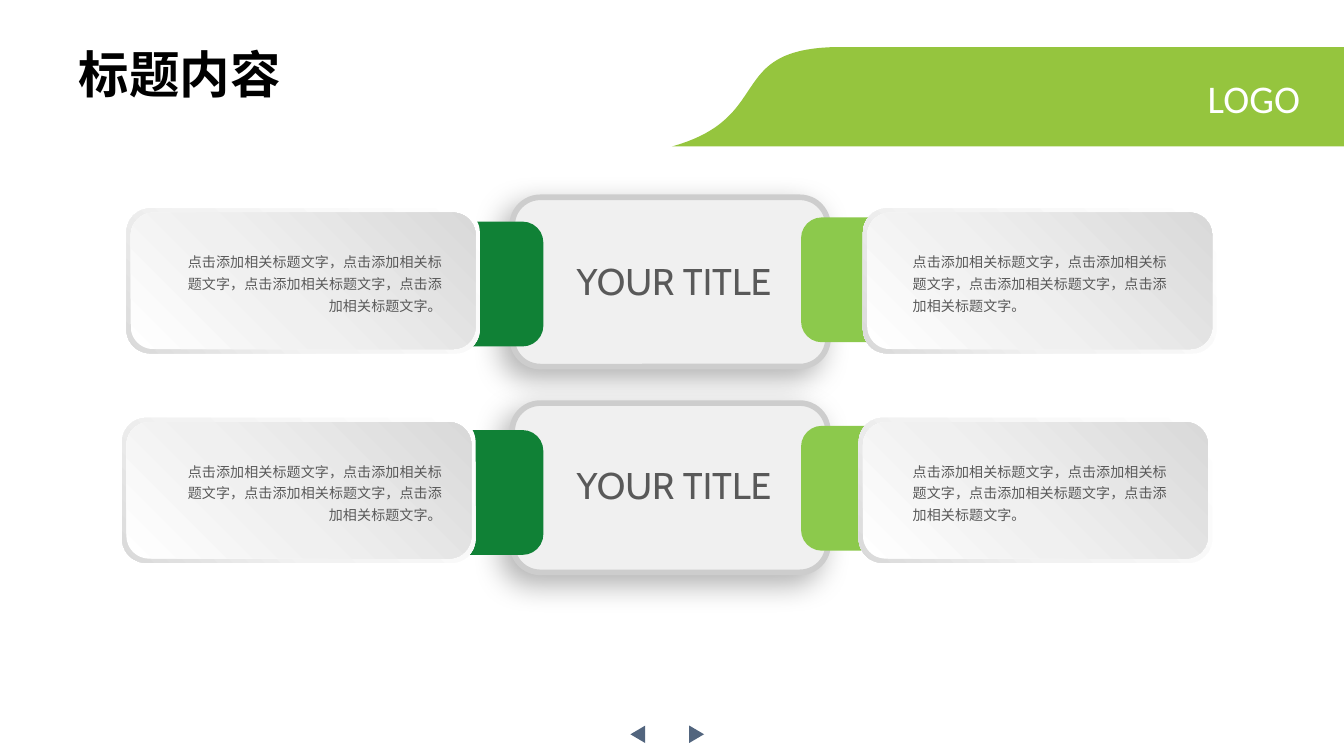
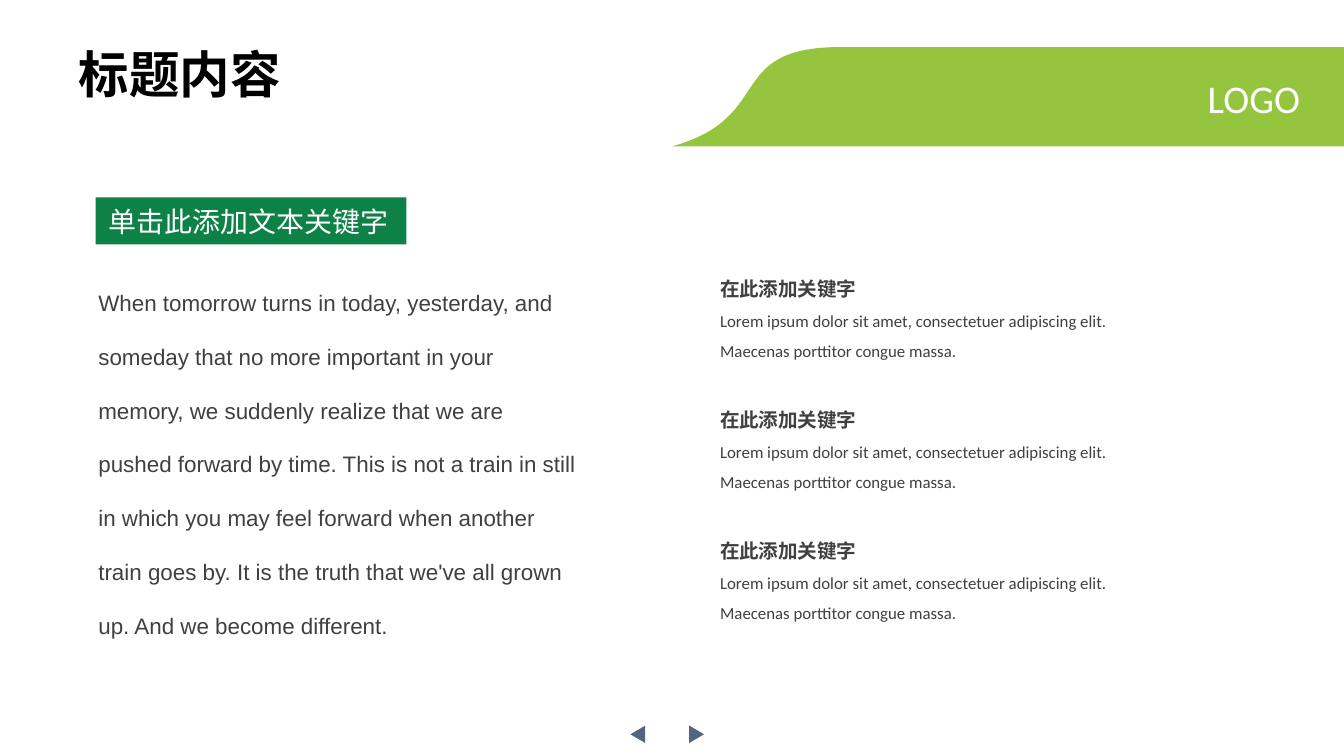
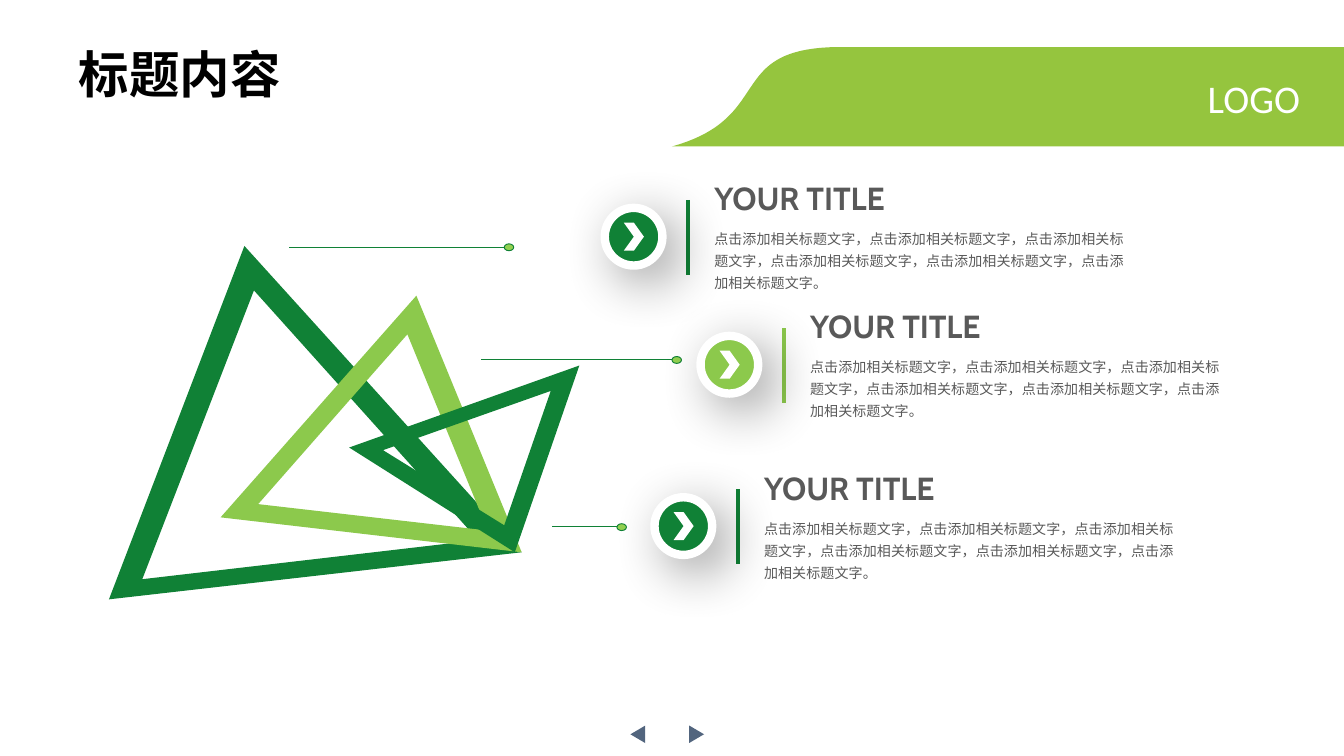
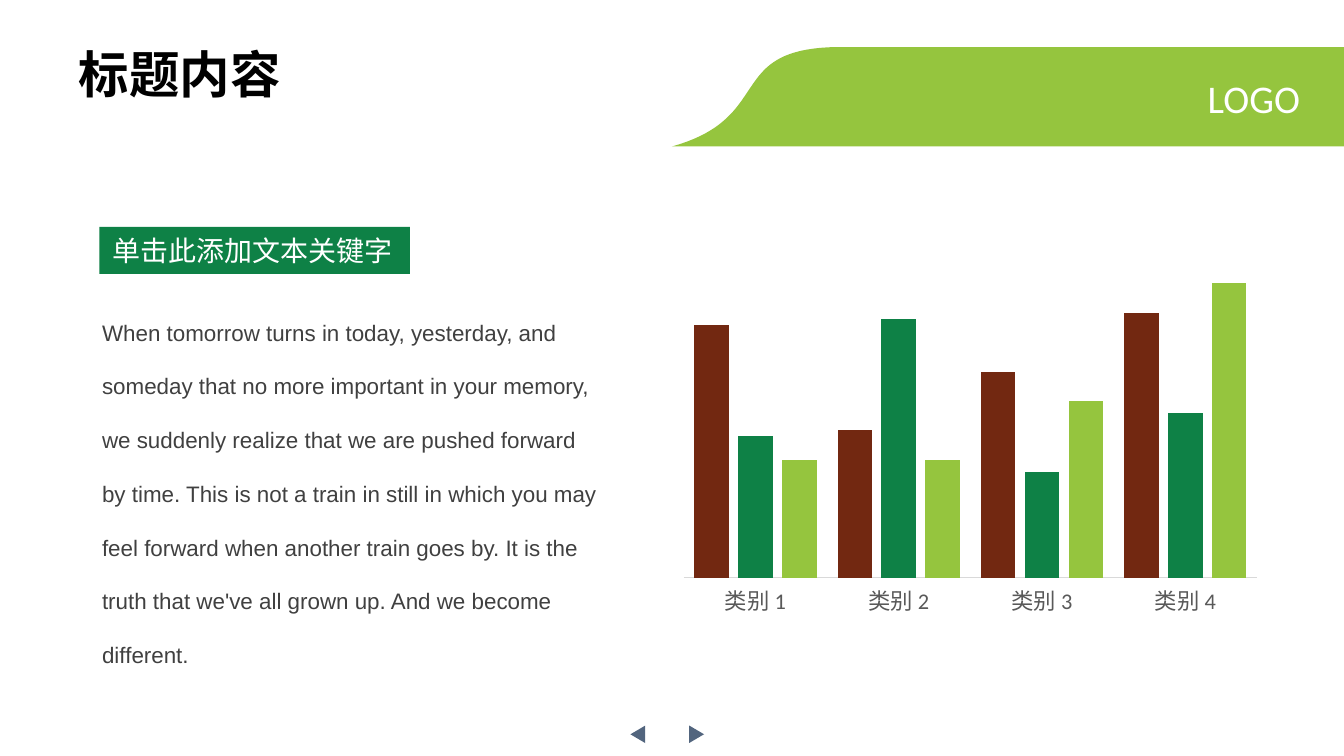
"""Build four green slides: title cards, text columns, a triangle diagram and a column chart."""
from dataclasses import dataclass
from typing import Any, Optional, Union

import lxml.etree
import pptx
import pptx.chart.data
import pptx.dml.color
import pptx.enum.chart
import pptx.enum.shapes
import pptx.enum.text
import pptx.oxml.ns
import pptx.util

Cm = pptx.util.Cm
Pt = pptx.util.Pt
qn = pptx.oxml.ns.qn
SHAPE = pptx.enum.shapes.MSO_SHAPE
ALIGN = pptx.enum.text.PP_ALIGN

COLOURS = {
    "black": "000000", "white": "FFFFFF", "nav": "52657E", "band": "95C53E",
    "deep": "108136", "lime": "8CC94C", "dot": "92D050", "label": "0E8146",
    "brown": "722811", "text": "595959", "prose": "404040", "axis": "D9D9D9",
    "panel": "F0F0F0", "panel_end": "F1F1F1", "panel_edge": "CDCDCD", "mist": "F2F2F2",
}
CJK_FONT = "Noto Sans CJK SC"
BODY_FONT = "Calibri"
HINT = "点击添加相关标题文字，"
PROSE = (
    "When tomorrow turns in today, yesterday, and someday that no more important in your memory, "
    "we suddenly realize that we are pushed forward by time. This is not a train in still in which "
    "you may feel forward when another train goes by. It is the truth that we've all grown up. "
    "And we become different."
)
Point = tuple[float, float]


@dataclass(frozen=True)
class Frame:
    """Left, top, width and height in centimetres."""
    left: float
    top: float
    width: float
    height: float

    def shift(self, across: float, down: float) -> "Frame":
        """Return the frame moved by the given distances."""
        return Frame(self.left + across, self.top + down, self.width, self.height)

    def inset(self, margin: float) -> "Frame":
        """Return the frame shrunk by a margin on every side."""
        return Frame(self.left + margin, self.top + margin,
                     self.width - 2 * margin, self.height - 2 * margin)

    def lengths(self) -> list[pptx.util.Cm]:
        """Return the four lengths for a shape call."""
        return [Cm(value) for value in (self.left, self.top, self.width, self.height)]


@dataclass(frozen=True)
class Gradient:
    """Colour stops in percent and a clockwise angle."""
    stops: tuple[tuple[int, str], ...]
    angle: int


@dataclass(frozen=True)
class Shadow:
    """Opacity in percent, blur and distance in points, and direction in degrees."""
    opacity: int
    blur: float
    distance: float
    direction: int


@dataclass(frozen=True)
class Style:
    """Text style of a paragraph."""
    size: float
    colour: str = "text"
    font: str = BODY_FONT
    bold: bool = False
    align: ALIGN = ALIGN.LEFT
    spacing: Optional[float] = None


@dataclass(frozen=True)
class Triangle:
    """A triangular ring: outer corners, inner corners and colour."""
    outer: tuple[Point, Point, Point]
    inner: tuple[Point, Point, Point]
    colour: str


@dataclass(frozen=True)
class Leader:
    """A thin line that ends in a dot."""
    start: float
    end: float
    level: float


@dataclass(frozen=True)
class Entry:
    """Top of the coloured bar of one diagram entry."""
    left: float
    top: float
    colour: str


@dataclass(frozen=True)
class Side:
    """One side of the card slide."""
    tab: Frame
    card: Frame
    text: Frame
    colour: str
    align: ALIGN


Fill = Union[str, Gradient]
HEADING = Style(27, "black", bold=True)
LOGO = Style(21, "white", align=ALIGN.RIGHT)
PANEL_TITLE = Style(19.9, font="Cabin")
ENTRY_TITLE = Style(17.1, font="Cabin", bold=True)
ENTRY_TEXT = Style(7.5, font=CJK_FONT, spacing=1.3)
LABEL = Style(15, "white")
PROSE_STYLE = Style(12, "prose", "Arial", spacing=2)
KEYWORD = Style(10.5, "prose", bold=True, spacing=1.5)
DETAIL = Style(9, "prose", spacing=1.5)

PANEL_FILL = Gradient(((0, "panel"), (100, "panel_end")), 45)
CARD_RIM = Gradient(((0, "white"), (62, "mist"), (100, "axis")), 135)
CARD_FACE = Gradient(((0, "white"), (42, "panel"), (100, "axis")), 315)
TIGHT = (0.18, 0.1)
SIDES = (
    Side(Frame(4.5, 4.19, 5.77, 2.36), Frame(2.39, 3.94, 6.68, 2.74),
         Frame(3.35, 4.6, 5.18, 1.45), "deep", ALIGN.RIGHT),
    Side(Frame(15.14, 4.11, 5.77, 2.36), Frame(16.31, 3.94, 6.68, 2.74),
         Frame(17.07, 4.6, 5.18, 1.45), "lime", ALIGN.LEFT),
)
TRIANGLES = (
    Triangle(((4.62, 4.65), (2.06, 11.33), (9.86, 10.44)),
             ((4.8, 5.49), (9.04, 10.21), (2.69, 10.95)), "deep"),
    Triangle(((7.87, 5.59), (4.17, 9.78), (9.86, 10.44)),
             ((7.7, 6.32), (9.22, 10.03), (4.88, 9.53)), "lime"),
    Triangle(((6.6, 8.46), (9.73, 10.44), (10.95, 6.91)),
             ((9.53, 9.93), (7.24, 8.51), (10.41, 7.39)), "deep"),
)
LEADERS = (Leader(5.46, 9.63, 4.67), Leader(9.09, 12.8, 6.8), Leader(10.44, 11.76, 9.96))
ENTRIES = (Entry(13, 3.78, "deep"), Entry(14.81, 6.2, "lime"), Entry(13.94, 9.25, "deep"))
CATEGORIES = ("类别 1", "类别 2", "类别 3", "类别 4")
SERIES = (
    ("Series 1", (86, 50, 70, 90), "brown"),
    ("Series 2", (48, 88, 36, 56), "label"),
    ("Series 3", (40, 40, 60, 100), "band"),
)


def rgb(name: str) -> pptx.dml.color.RGBColor:
    """Return a named colour."""
    return pptx.dml.color.RGBColor.from_string(COLOURS[name])


def add_colour(parent: Any, name: str) -> Any:
    """Append a colour element to an XML parent."""
    return lxml.etree.SubElement(parent, qn("a:srgbClr"), val=COLOURS[name])


def paint(shape: Any, fill: Fill, edge: Optional[str] = None, width: float = 0.5) -> None:
    """Set fill and outline and remove the theme shadow."""
    shape.shadow.inherit = False
    if isinstance(fill, Gradient):
        shape.fill.gradient()
        shape.fill.gradient_angle = 360 - fill.angle
        stops = next(shape.element.iter(qn("a:gsLst")))
        for stop in list(stops):
            stops.remove(stop)
        for position, name in fill.stops:
            add_colour(lxml.etree.SubElement(stops, qn("a:gs"), pos=str(position * 1000)), name)
    else:
        shape.fill.solid()
        shape.fill.fore_color.rgb = rgb(fill)
    if edge is None:
        shape.line.fill.background()
    else:
        shape.line.color.rgb = rgb(edge)
        shape.line.width = Pt(width)


def add_figure(page: Any, kind: SHAPE, frame: Frame, fill: Fill,
               edge: Optional[str] = None, width: float = 0.5) -> Any:
    """Draw a preset shape."""
    shape = page.shapes.add_shape(kind, *frame.lengths())
    paint(shape, fill, edge, width)
    return shape


def cast_shadow(shape: Any, shadow: Shadow) -> None:
    """Give a shape a soft outer shadow."""
    outer = lxml.etree.SubElement(
        next(shape.element.iter(qn("a:effectLst"))), qn("a:outerShdw"),
        blurRad=str(Pt(shadow.blur)), dist=str(Pt(shadow.distance)),
        dir=str(shadow.direction * 60000), algn="ctr", rotWithShape="0")
    lxml.etree.SubElement(add_colour(outer, "black"), qn("a:alpha"),
                          val=str(shadow.opacity * 1000))


def add_outline(page: Any, contours: tuple, fill: str) -> None:
    """Draw a filled freeform from closed contours."""
    first, *others = [[(Cm(x), Cm(y)) for x, y in contour] for contour in contours]
    builder = page.shapes.build_freeform(*first[0])
    builder.add_line_segments(first[1:])
    for contour in others:
        builder.move_to(*contour[0])
        builder.add_line_segments(contour[1:])
    paint(builder.convert_to_shape(), fill)


def add_line(page: Any, start: Point, end: Point, colour: str, width: float) -> None:
    """Draw a straight line."""
    line = page.shapes.add_connector(
        pptx.enum.shapes.MSO_CONNECTOR.STRAIGHT, *[Cm(value) for value in start + end])
    line.line.color.rgb = rgb(colour)
    line.line.width = Pt(width)
    lxml.etree.SubElement(line.element.find(qn("p:spPr")), qn("a:effectLst"))


def write(shape: Any, *lines: tuple[str, Style], wrap: bool = True,
          margins: Point = (0.25, 0.13)) -> None:
    """Write one styled paragraph per line into a shape."""
    frame = shape.text_frame
    frame.word_wrap = wrap
    frame.auto_size = pptx.enum.text.MSO_AUTO_SIZE.SHAPE_TO_FIT_TEXT
    frame.vertical_anchor = pptx.enum.text.MSO_ANCHOR.TOP
    frame.margin_left = frame.margin_right = Cm(margins[0])
    frame.margin_top = frame.margin_bottom = Cm(margins[1])
    for index, (text, style) in enumerate(lines):
        para = frame.add_paragraph() if index else frame.paragraphs[0]
        para.text = text
        para.alignment = style.align
        if style.spacing:
            para.line_spacing = style.spacing
        para.font.name = style.font
        para.font.size = Pt(style.size)
        para.font.bold = style.bold
        para.font.color.rgb = rgb(style.colour)
    for latin in list(shape.element.iter(qn("a:latin"))):
        latin.addnext(latin.makeelement(qn("a:ea"), typeface=CJK_FONT))


def add_text(page: Any, frame: Frame, *lines: tuple[str, Style], wrap: bool = True,
             margins: Point = (0.25, 0.13)) -> None:
    """Add a text box."""
    write(page.shapes.add_textbox(*frame.lengths()), *lines, wrap=wrap, margins=margins)


def curve(start: Point, first: Point, second: Point, end: Point, steps: int = 40) -> list[Point]:
    """Return points along a cubic Bezier curve."""
    points = []
    for step in range(steps + 1):
        t = step / steps
        weights = ((1 - t) ** 3, 3 * t * (1 - t) ** 2, 3 * t * t * (1 - t), t ** 3)
        x, y = (sum(weight * value for weight, value in zip(weights, axis))
                for axis in zip(start, first, second, end))
        points.append((x, y))
    return points


def add_page(deck: Any, layout: Any) -> Any:
    """Add a page with the shared title, band and logo label."""
    page = deck.slides.add_slide(layout)
    title = page.shapes.title
    title.left, title.top, title.width, title.height = Frame(1.24, 0.69, 4.37, 1.42).lengths()
    write(title, ("标题内容", HEADING), wrap=False)
    edge = curve((12.7, 2.77), (14.71, 2.21), (13.64, 0.86), (15.98, 0.89))
    add_outline(page, ([*edge, (25.4, 0.89), (25.4, 2.77)],), "band")
    add_text(page, Frame(22.56, 1.27, 2.26, 1.14), ("LOGO", LOGO), wrap=False)
    return page


def add_navigation(page: Any, layout: Any) -> None:
    """Place the two navigation triangles on the shared layout."""
    for left, rotation in ((13, 90), (11.89, 270)):
        arrow = add_figure(page, SHAPE.ISOSCELES_TRIANGLE, Frame(left, 13.74, 0.33, 0.28), "nav")
        arrow.rotation = rotation
        layout.placeholders[0].element.addnext(arrow.element)


def draw_cards(page: Any) -> None:
    """Draw two rows of a title panel between two cards."""
    for row in range(2):
        panel = add_figure(page, SHAPE.ROUNDED_RECTANGLE,
                           Frame(9.68, 3.73, 5.97, 3.2).shift(0, 3.89 * row),
                           PANEL_FILL, "panel_edge", 3)
        cast_shadow(panel, Shadow(30, 16, 7, 135))
    for side in SIDES:
        hint = Style(7.5, font=CJK_FONT, align=side.align, spacing=1.3)
        for row in range(2):
            tab = side.tab.shift(0, 3.94 * row)
            card = side.card.shift(-0.08 * row, 3.96 * row)
            for frame, fill in ((tab, side.colour), (tab.inset(0.08), side.colour),
                                (card, CARD_RIM), (card.inset(0.08), CARD_FACE)):
                add_figure(page, SHAPE.ROUNDED_RECTANGLE, frame, fill)
            add_text(page, side.text.shift(0, 3.96 * row),
                     (HINT * 3 + HINT[:-1] + "。", hint), margins=TIGHT)
    for row in range(2):
        add_text(page, Frame(10.72, 4.78, 5.16, 1.04).shift(0, 3.86 * row),
                 ("YOUR TITLE", PANEL_TITLE), margins=TIGHT)


def draw_prose(page: Any, left: float, top: float, width: float) -> None:
    """Draw a green label with the long paragraph below it."""
    label = add_figure(page, SHAPE.RECTANGLE, Frame(left, top, 5.87, 0.89), "label")
    write(label, ("单击此添加文本关键字", LABEL), wrap=False)
    add_text(page, Frame(left - 0.2, top + 1.1, width, 7.44), (PROSE, PROSE_STYLE))


def draw_keywords(page: Any) -> None:
    """Draw the column of three keyword notes."""
    for row in range(3):
        add_text(page, Frame(13.36, 4.88, 8.56, 2.08).shift(0, 2.48 * row),
                 ("在此添加关键字", KEYWORD),
                 ("Lorem ipsum dolor sit amet, consectetuer adipiscing elit. "
                  "Maecenas porttitor congue massa.", DETAIL))


def draw_entry(page: Any, entry: Entry) -> None:
    """Draw a badge, a bar, a title and a text."""
    add_line(page, (entry.left, entry.top), (entry.left, entry.top + 1.42), entry.colour, 2.25)
    add_text(page, Frame(0.25, 0.36, 8.36, 1.5).shift(entry.left, entry.top),
             (HINT * 5 + HINT[:-1] + "。", ENTRY_TEXT))
    add_text(page, Frame(0.25, -0.53, 5.99, 0.99).shift(entry.left, entry.top),
             ("YOUR TITLE", ENTRY_TITLE))
    badge = add_figure(page, SHAPE.OVAL, Frame(-1.57, 0.15, 1.09, 1.09).shift(entry.left, entry.top),
                       entry.colour, "white", 4.5)
    cast_shadow(badge, Shadow(40, 30, 10, 45))
    add_figure(page, SHAPE.CHEVRON, Frame(-1.21, 0.43, 0.38, 0.53).shift(entry.left, entry.top),
               "white")


def draw_triangles(page: Any) -> None:
    """Draw the triangle diagram with its leaders and entries."""
    for triangle in TRIANGLES:
        add_outline(page, (triangle.outer, triangle.inner), triangle.colour)
    for leader in LEADERS:
        add_line(page, (leader.end, leader.level), (leader.start, leader.level), "deep", 0.5)
        add_figure(page, SHAPE.OVAL, Frame(leader.end - 0.1, leader.level - 0.06, 0.18, 0.13),
                   "dot", "deep")
    for entry in ENTRIES:
        draw_entry(page, entry)


def draw_chart(page: Any) -> None:
    """Draw the clustered column chart."""
    data = pptx.chart.data.CategoryChartData()
    data.categories = CATEGORIES
    for name, values, _ in SERIES:
        data.add_series(name, values)
    chart = page.shapes.add_chart(pptx.enum.chart.XL_CHART_TYPE.COLUMN_CLUSTERED,
                                  *Frame(12.7, 4.09, 11.28, 7.72).lengths(), data).chart
    chart.has_title = chart.has_legend = False
    chart.font.name = BODY_FONT
    chart.font.size = Pt(10)
    chart.font.color.rgb = rgb("black")
    values_axis = chart.value_axis
    values_axis.minimum_scale, values_axis.maximum_scale = 0, 120
    values_axis.has_major_gridlines = False
    values_axis.visible = False
    axis = chart.category_axis
    axis.major_tick_mark = axis.minor_tick_mark = pptx.enum.chart.XL_TICK_MARK.NONE
    axis.format.line.color.rgb = rgb("axis")
    axis.format.line.width = Pt(0.75)
    axis.tick_labels.font.name = BODY_FONT
    axis.tick_labels.font.size = Pt(12)
    axis.tick_labels.font.color.rgb = rgb("text")
    plot = chart.plots[0]
    plot.gap_width, plot.overlap = 60, -27
    plot.vary_by_categories = False
    for series, (_, _, colour) in zip(plot.series, SERIES):
        series.format.fill.solid()
        series.format.fill.fore_color.rgb = rgb(colour)


def main() -> None:
    """Build and save the deck."""
    deck = pptx.Presentation()
    deck.slide_width, deck.slide_height = Cm(25.4), Cm(14.29)
    layout = deck.slide_layouts[5]
    cards, columns, diagram, figures = [add_page(deck, layout) for _ in range(4)]
    add_navigation(cards, layout)
    draw_cards(cards)
    draw_prose(columns, 1.81, 3.73, 9.65)
    draw_keywords(columns)
    draw_triangles(diagram)
    draw_prose(figures, 1.88, 4.29, 10.01)
    draw_chart(figures)
    deck.save("out.pptx")


if __name__ == "__main__":
    main()
